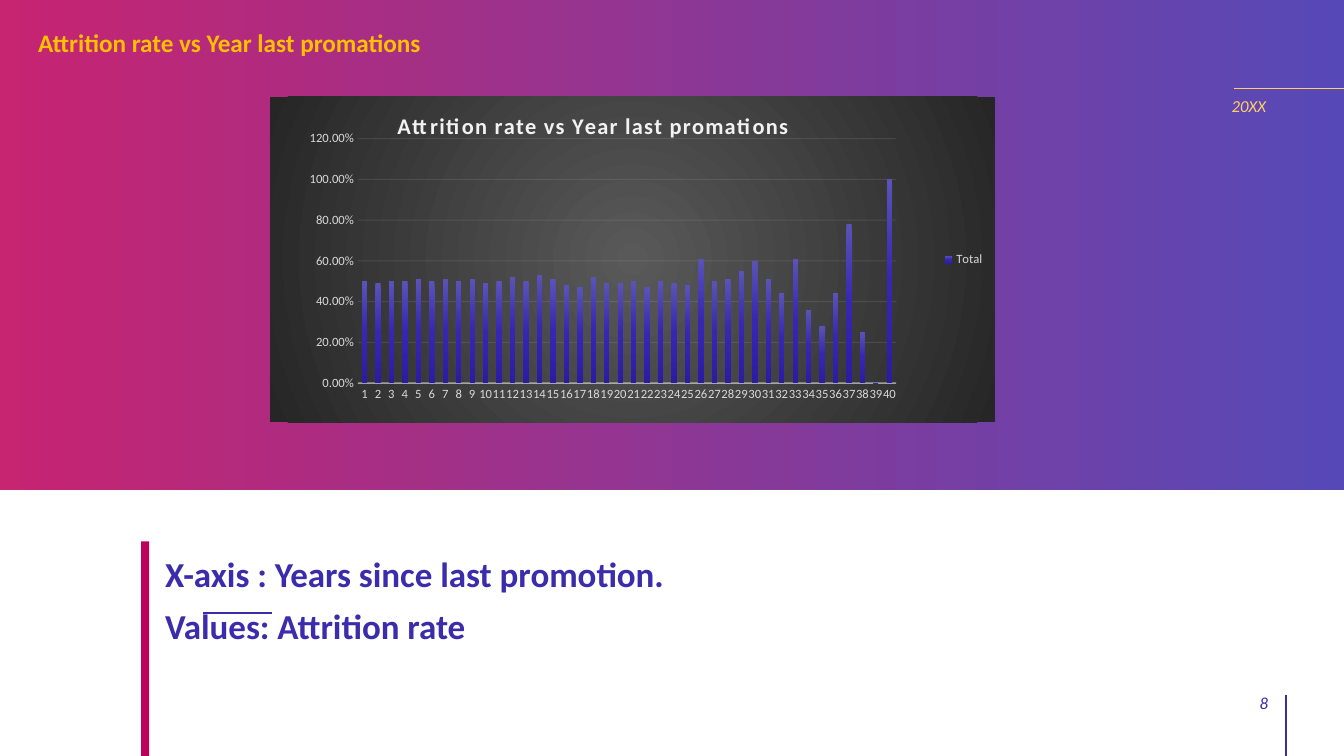
from lxml.etree import SubElement
from pptx import Presentation
from pptx.chart.data import CategoryChartData
from pptx.dml.color import RGBColor
from pptx.enum.chart import XL_CHART_TYPE, XL_LEGEND_POSITION, XL_TICK_MARK
from pptx.enum.shapes import MSO_CONNECTOR, MSO_SHAPE
from pptx.enum.text import MSO_ANCHOR, PP_ALIGN
from pptx.oxml import parse_xml
from pptx.oxml.ns import nsdecls, qn
from pptx.util import Inches, Pt

FONT = "Calibri"
INDIGO, CRIMSON, AMBER, GOLD = "3B2CAC", "BE005A", "FFCD6B", "FFC000"
PALE, LABEL_GREY = "F2F2F2", "D9D9D9"
SLIDE_WIDTH, SLIDE_HEIGHT = Inches(13.33), Inches(7.5)
TITLE = "Attrition rate vs Year last promations"
ATTRITION_PERCENT = [
    50, 49, 50, 50, 51, 50, 51, 50, 51, 49,
    50, 52, 50, 53, 51, 48, 47, 52, 49, 49,
    50, 47, 50, 49, 48, 61, 50, 51, 55, 60,
    51, 44, 61, 36, 28, 44, 78, 25, 0, 100,
]
LINEAR = '<a:lin ang="{}" scaled="0"/>'
RADIAL = '<a:path path="circle"><a:fillToRect l="50000" t="50000" r="50000" b="50000"/></a:path>'


def color(value):
    return RGBColor.from_string(value)


def grid(left, top, width, height):
    """Turn percentages of the slide's width and height into lengths."""
    return (int(SLIDE_WIDTH * left / 100), int(SLIDE_HEIGHT * top / 100),
            int(SLIDE_WIDTH * width / 100), int(SLIDE_HEIGHT * height / 100))


def format_font(font, size, hex_color, bold=False, italic=False):
    font.name, font.size, font.bold, font.italic = FONT, Pt(size), bold, italic
    font.color.rgb = color(hex_color)


def replace_empty_fill(properties, stops, shading, opacity=100):
    """Put a gradient where the shape properties hold a:noFill."""
    stop_xml = "".join(
        f'<a:gs pos="{position * 1000}"><a:srgbClr val="{value}">'
        f'<a:alpha val="{opacity * 1000}"/></a:srgbClr></a:gs>'
        for position, value in stops)
    gradient = parse_xml(f'<a:gradFill {nsdecls("a")} rotWithShape="1">'
                         f'<a:gsLst>{stop_xml}</a:gsLst>{shading}</a:gradFill>')
    properties.replace(properties.find(qn("a:noFill")), gradient)


def add_rectangle(slide, box, fill=None):
    shape = slide.shapes.add_shape(MSO_SHAPE.RECTANGLE, *grid(*box))
    shape.shadow.inherit = False
    shape.line.fill.background()
    if fill:
        shape.fill.solid()
        shape.fill.fore_color.rgb = color(fill)
    else:
        shape.fill.background()
    return shape


def add_rule(slide, box, hex_color, weight):
    left, top, width, height = grid(*box)
    rule = slide.shapes.add_connector(MSO_CONNECTOR.STRAIGHT, left, top, left + width, top + height)
    rule.line.color.rgb = color(hex_color)
    rule.line.width = Pt(weight)
    SubElement(rule._element.spPr, qn("a:effectLst"))


def add_text(slide, box, *lines, size=12, hex_color=INDIGO, bold=False, italic=False,
             align=PP_ALIGN.LEFT, anchor=MSO_ANCHOR.TOP, line_spacing=0.9):
    frame = slide.shapes.add_textbox(*grid(*box)).text_frame
    frame.word_wrap = True
    frame.vertical_anchor = anchor
    for index, line in enumerate(lines):
        paragraph = frame.add_paragraph() if index else frame.paragraphs[0]
        paragraph.alignment = align
        paragraph.line_spacing = line_spacing
        paragraph.space_before = Pt(10 if index else 0)
        run = paragraph.add_run()
        run.text = line
        format_font(run.font, size, hex_color, bold, italic)


def format_chart_line(line, weight, opacity):
    line.color.rgb = color(PALE)
    line.width = Pt(weight)
    fill = line._ln.find(qn("a:solidFill"))
    SubElement(fill[0], qn("a:alpha"), val=str(opacity * 1000))


def manual_layout(left, top, width=None, height=None):
    """Build a chart layout from shares of the chart's size."""
    target = '<c:layoutTarget val="inner"/>' if width else ""
    values = {"xMode": "edge", "yMode": "edge", "x": left, "y": top, "w": width, "h": height}
    parts = "".join(f'<c:{name} val="{value}"/>' for name, value in values.items()
                    if value is not None)
    return parse_xml(f'<c:layout {nsdecls("c")}><c:manualLayout>{target}{parts}'
                     '</c:manualLayout></c:layout>')


def set_layout(element, layout, index):
    for old in element.findall(qn("c:layout")):
        element.remove(old)
    element.insert(index, layout)


def format_axes(chart):
    for axis in (chart.category_axis, chart.value_axis):
        axis.major_tick_mark = axis.minor_tick_mark = XL_TICK_MARK.NONE
        format_font(axis.tick_labels.font, 9, LABEL_GREY)
    format_chart_line(chart.category_axis.format.line, 1, 54)
    value_axis = chart.value_axis
    value_axis.format.line.fill.background()
    value_axis.minimum_scale, value_axis.maximum_scale, value_axis.major_unit = 0, 1.2, 0.2
    value_axis.tick_labels.number_format = "0.00%"
    value_axis.tick_labels.number_format_is_linked = False
    format_chart_line(value_axis.major_gridlines.format.line, 0.75, 10)


def format_chart_title(chart):
    title = chart.chart_title
    run = title.text_frame.paragraphs[0].add_run()
    run.text = TITLE
    format_font(run.font, 16, PALE, bold=True)
    run.font._element.set("spc", "100")
    set_layout(title._element, manual_layout(0.17, 0.03), 1)


def add_attrition_chart(slide, box):
    data = CategoryChartData(number_format="0.00%")
    data.categories = [str(year) for year in range(1, len(ATTRITION_PERCENT) + 1)]
    data.add_series("Total", [percent / 100 for percent in ATTRITION_PERCENT])
    chart = slide.shapes.add_chart(XL_CHART_TYPE.COLUMN_STACKED, *grid(*box), data).chart
    format_font(chart.font, 10, "000000")
    format_chart_title(chart)
    format_axes(chart)

    chart.has_legend = True
    chart.legend.position = XL_LEGEND_POSITION.RIGHT
    chart.legend.include_in_layout = False
    format_font(chart.legend.font, 9, LABEL_GREY)

    plot = chart.plots[0]
    plot.gap_width, plot.overlap, plot.vary_by_categories = 150, 100, False
    series = plot.series[0]
    series.format.fill.background()
    replace_empty_fill(series._element.find(qn("c:spPr")),
                       [(0, "5A53B7"), (50, "3626B2"), (100, "2C1CA4")],
                       LINEAR.format(5400000))

    chart_space = chart._chartSpace
    set_layout(chart_space.chart.plotArea, manual_layout(0.121, 0.129, 0.743, 0.751), 0)
    background = parse_xml(f'<c:spPr {nsdecls("c", "a")}><a:noFill/>'
                           '<a:ln><a:noFill/></a:ln></c:spPr>')
    replace_empty_fill(background, [(0, "595959"), (100, "262626")], RADIAL)
    chart_space.chart.addnext(background)


def main():
    presentation = Presentation()
    presentation.slide_width, presentation.slide_height = SLIDE_WIDTH, SLIDE_HEIGHT
    slide = presentation.slides.add_slide(presentation.slide_layouts[6])

    band = add_rectangle(slide, (0, 0, 100, 64.8))
    replace_empty_fill(band._element.spPr, [(0, CRIMSON), (100, INDIGO)],
                       LINEAR.format(0), opacity=85)
    add_rule(slide, (91.8, 11.73, 8.2, 0), AMBER, 0.5)
    add_rule(slide, (95.7, 91.87, 0, 8.13), INDIGO, 1.5)
    add_rectangle(slide, (10.5, 71.6, 0.6, 28.4), CRIMSON)
    add_rule(slide, (15.1, 81.07, 5.15, 0), INDIGO, 1.5)

    add_text(slide, (2.1, 3.47, 50, 9.07), TITLE, size=18, hex_color=GOLD, bold=True)
    add_text(slide, (72.6, 90.27, 22.5, 5.33), "8", italic=True, align=PP_ALIGN.RIGHT,
             anchor=MSO_ANCHOR.MIDDLE, line_spacing=1)
    add_text(slide, (90.9, 12.27, 5.03, 4.8), "20XX", hex_color=AMBER, italic=True)
    add_text(slide, (11.55, 73.07, 77, 18.27), "X-axis : Years since last promotion.",
             "Values: Attrition rate", size=25, bold=True)
    add_attrition_chart(slide, (20.1, 12.8, 53.92, 43.07))
    presentation.save("out.pptx")


if __name__ == "__main__":
    main()
